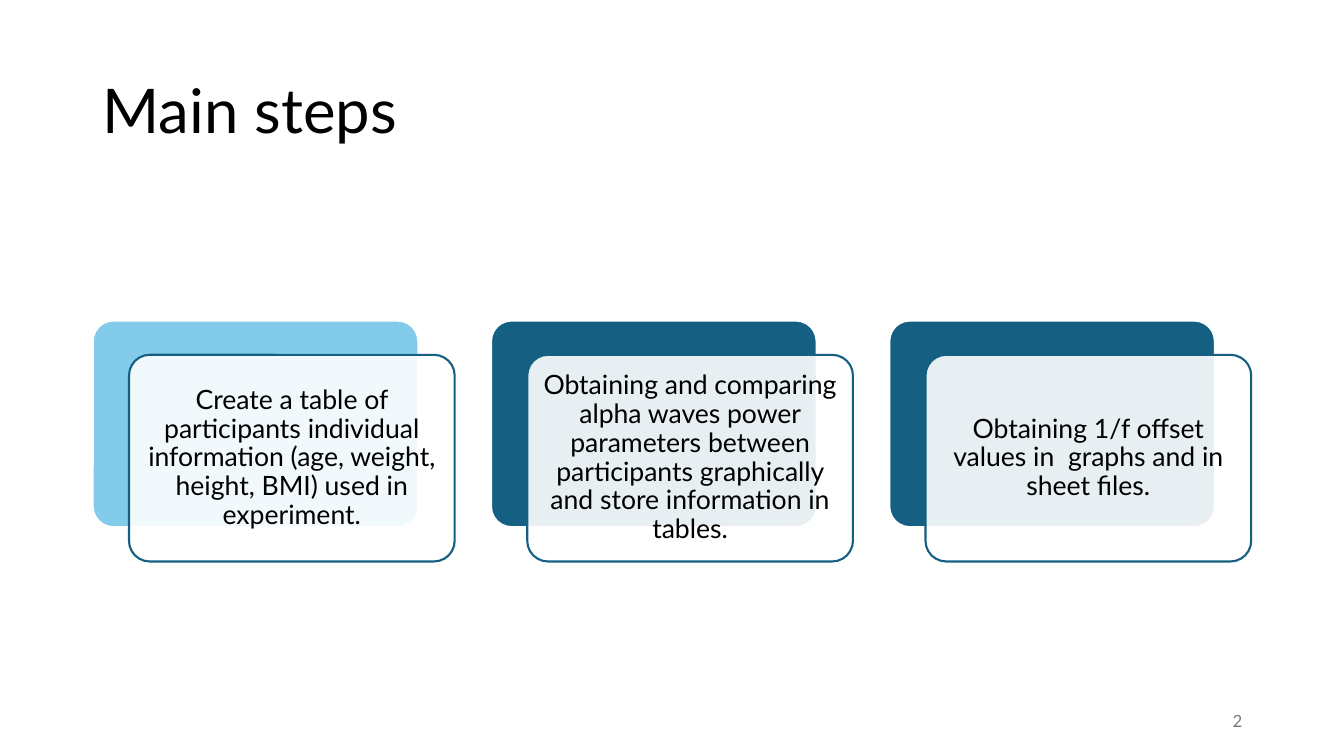
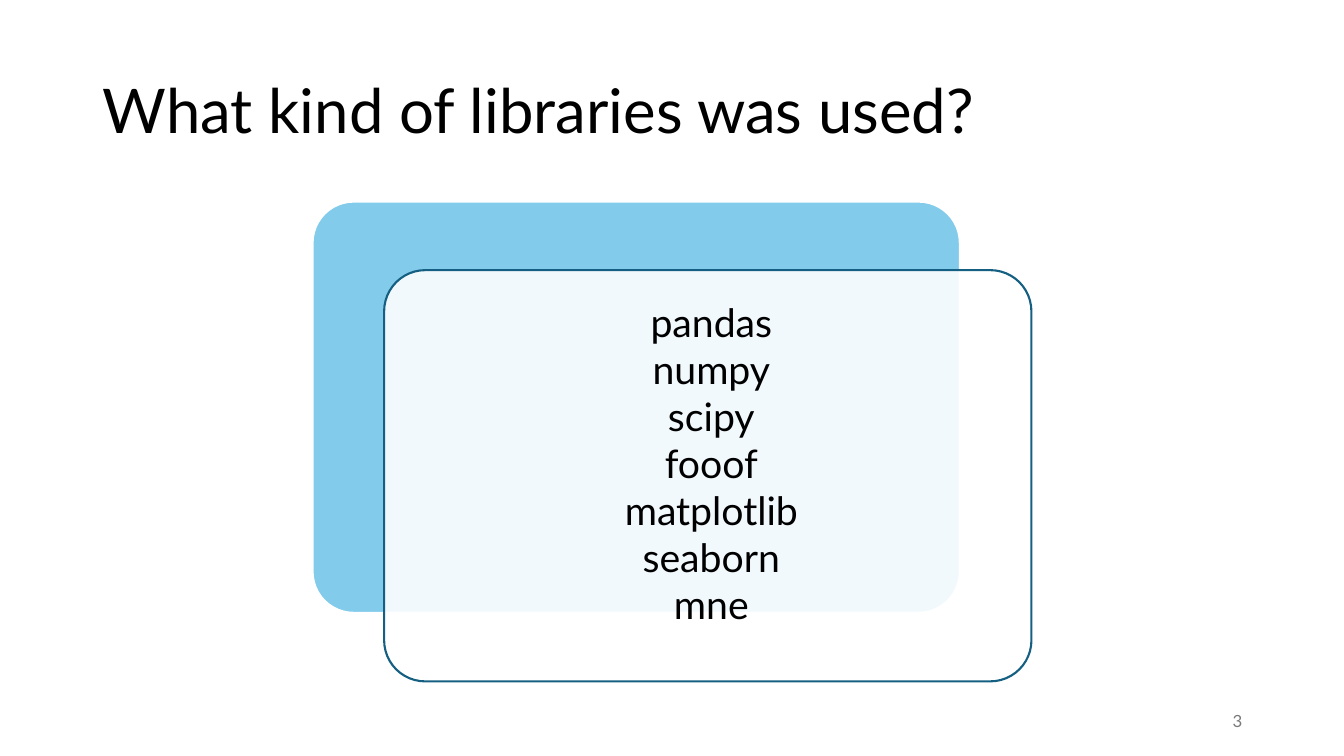
from lxml import etree
from pptx import Presentation
from pptx.dml.color import RGBColor as RGB
from pptx.enum.shapes import MSO_SHAPE as Shape
from pptx.enum.text import MSO_ANCHOR as Anchor, PP_ALIGN as Align
from pptx.oxml.ns import qn
from pptx.util import Emu, Pt

PX = 9144  # 100 px to the inch
WIDTH, HEIGHT = 1333, 750

BLACK = RGB(0x00, 0x00, 0x00)
WHITE = RGB(0xFF, 0xFF, 0xFF)
GREY = RGB(0x79, 0x79, 0x79)
SKY = RGB(0x83, 0xCB, 0xEB)
TEAL = RGB(0x15, 0x60, 0x82)
FONT = "Lato"

TITLE = (92, 40, 1150, 145)
NUMBER = (942, 695, 300, 40)

STEPS = [
    (SKY, "Create a table of participants individual information "
          "(age, weight, height, BMI) used in experiment."),
    (TEAL, "Obtaining and comparing alpha waves power parameters between "
           "participants graphically and store information in tables."),
    (TEAL, "Obtaining 1/f offset values in  graphs and in sheet files."),
]
LIBS = ["pandas", "numpy", "scipy", "fooof", "matplotlib", "seaborn", "mne"]


def scale(box):
    return [Emu(round(v * PX)) for v in box]


def write(shape, *lines, size, color=BLACK, align=Align.LEFT,
          anchor=Anchor.MIDDLE, space=1.0, inset=(10, 5)):
    """Fill a shape with one paragraph per line."""
    frame = shape.text_frame
    frame.word_wrap = True
    frame.vertical_anchor = anchor
    side, edge = scale(inset)
    frame.margin_left = frame.margin_right = side
    frame.margin_top = frame.margin_bottom = edge
    for i, line in enumerate(lines):
        para = frame.paragraphs[0] if i == 0 else frame.add_paragraph()
        para.alignment = align
        para.line_spacing = space
        run = para.add_run()
        run.text = line
        run.font.name = FONT
        run.font.size = Pt(size)
        run.font.color.rgb = color


def label(slide, box, *lines, **style):
    write(slide.shapes.add_textbox(*scale(box)), *lines, **style)


def panel(slide, box, fill, line, alpha=100):
    shape = slide.shapes.add_shape(Shape.ROUNDED_RECTANGLE, *scale(box))
    shape.adjustments[0] = 0.1
    shape.shadow.inherit = False
    shape.fill.solid()
    shape.fill.fore_color.rgb = fill
    shape.line.color.rgb = line
    shape.line.width = Pt(1.5)
    if alpha < 100:
        tint = shape.fill._xPr.find(qn("a:solidFill"))[0]
        etree.SubElement(tint, qn("a:alpha")).set("val", str(alpha * 1000))
    return shape


def card(slide, box, color):
    """Draw a coloured panel with a pale one shifted over it."""
    x, y, w, h = box
    panel(slide, box, color, WHITE)
    front = (x + round(w * 0.11), y + round(h / 6), w, h)
    return panel(slide, front, WHITE, TEAL, alpha=90)


def start(deck, title, number):
    """Add a slide with the shared title and page number."""
    slide = deck.slides.add_slide(deck.slide_layouts[6])
    label(slide, TITLE, title, size=44, space=0.9)
    label(slide, NUMBER, str(number), size=12, color=GREY, align=Align.RIGHT)
    return slide


def steps(slide, box, gap):
    """Set the step cards in a row from the first card's box."""
    x, y, w, h = box
    for i, (color, text) in enumerate(STEPS):
        front = card(slide, (x + i * (w + gap), y, w, h), color)
        write(front, text, size=19, align=Align.CENTER, space=0.9,
              inset=(8, 8))


def libs(slide, box):
    """Set the list of libraries on one large card."""
    x, y, w, h = box
    card(slide, box, SKY)
    label(slide, (x + 123, y + 91, w - 97, h - 68), *LIBS, size=28,
          align=Align.CENTER, anchor=Anchor.TOP)


def main():
    deck = Presentation()
    deck.slide_width, deck.slide_height = scale((WIDTH, HEIGHT))
    steps(start(deck, "Main steps", 2), (92, 318, 323, 205), gap=72)
    libs(start(deck, "What kind of libraries was used?", 3),
         (310, 200, 642, 408))
    deck.save("out.pptx")


if __name__ == "__main__":
    main()
